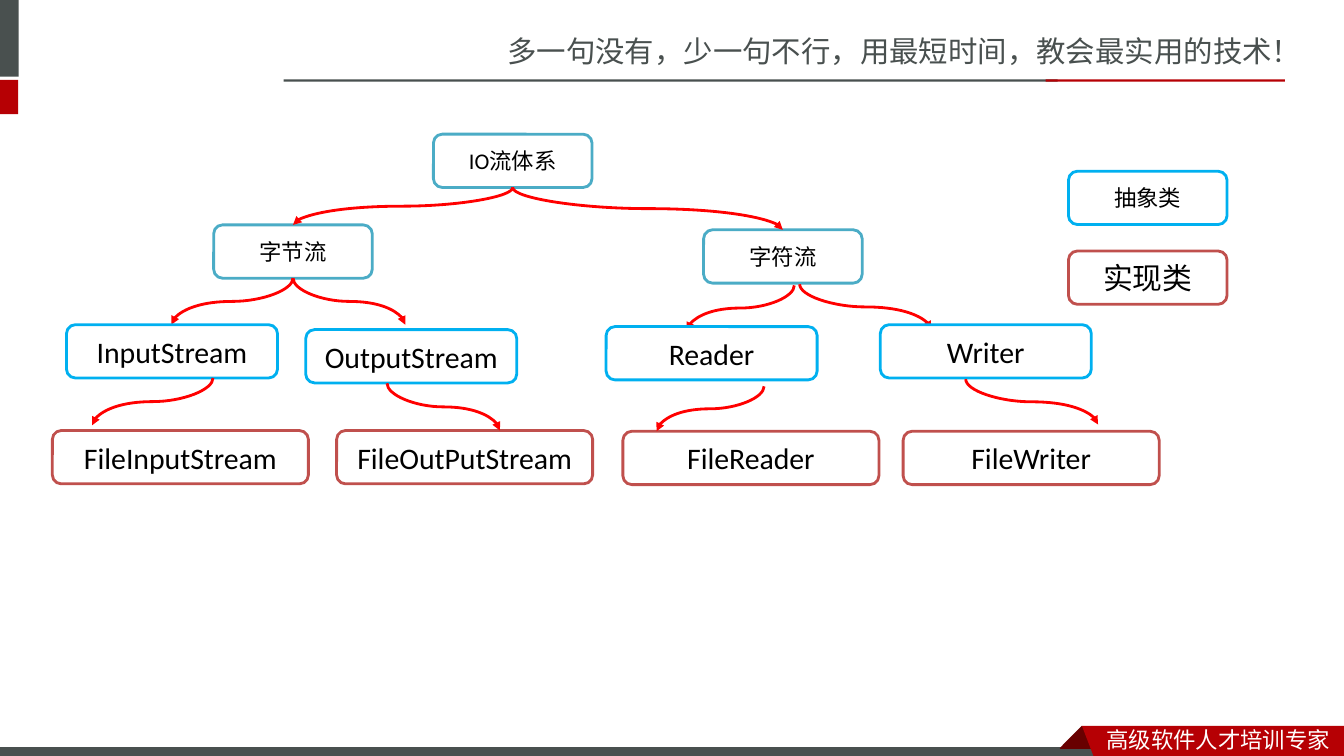
from lxml import etree
from pptx import Presentation
from pptx import util as u
from pptx.dml.color import RGBColor
from pptx.enum import shapes, text
from pptx.oxml import ns

GREY = RGBColor(0x49, 0x50, 0x4F)
CRIMSON = RGBColor(0xB6, 0x00, 0x04)
MAROON = RGBColor(0x68, 0x00, 0x00)
TEAL = RGBColor(0x4B, 0xAC, 0xC6)
SKY = RGBColor(0x00, 0xB0, 0xF0)
BRICK = RGBColor(0xC0, 0x50, 0x4D)
RED = RGBColor(0xFF, 0x00, 0x00)
WHITE = RGBColor(0xFF, 0xFF, 0xFF)
BLACK = RGBColor(0x00, 0x00, 0x00)
HAN_FONT = "Noto Sans CJK SC"

deck = Presentation()
deck.slide_width, deck.slide_height = u.Inches(13.33), u.Inches(7.5)
slide = deck.slides.add_slide(deck.slide_layouts[6])

# Grid of 100 columns by 100 rows
COL, ROW = deck.slide_width / 100, deck.slide_height / 100


def place(*lengths):
    """Turn alternating columns and rows into slide lengths."""
    return [round(n * (ROW if i % 2 else COL)) for i, n in enumerate(lengths)]


def write(holder, words, size, color, font="Calibri", align=text.PP_ALIGN.CENTER,
          anchor=text.MSO_ANCHOR.MIDDLE):
    frame = holder.text_frame
    frame.word_wrap = True
    frame.vertical_anchor = anchor
    frame.paragraphs[0].alignment = align
    run = frame.paragraphs[0].add_run()
    run.text = words
    run.font.size, run.font.name = u.Pt(size), font
    run.font.color.rgb = color
    east_asian = etree.SubElement(run.font._element, ns.qn("a:ea"))
    east_asian.set("typeface", HAN_FONT)


# Side marks, heading rules and footer bar
bars = [
    (-0.45, 0, 1.85, 10.15, GREY),
    (-0.45, 10.55, 1.8, 4.55, CRIMSON),
    (21.1, 10.5, 57.6, 0.3, GREY),
    (77.8, 10.5, 17.8, 0.3, CRIMSON),
    (-0.1, 98.8, 82.5, 1.6, GREY),
]
for *area, color in bars:
    bar = slide.shapes.add_shape(shapes.MSO_SHAPE.RECTANGLE, *place(*area))
    bar.shadow.inherit = False
    bar.fill.solid()
    bar.fill.fore_color.rgb = color
    bar.line.fill.background()
bar.line.color.rgb, bar.line.width = WHITE, u.Pt(0.75)

# Footer ribbon and its fold
ribbon_parts = [
    (MAROON, [(80.5, 96), (82.15, 98.95), (82.05, 99.05), (78.9, 99.05), (78.85, 98.95)]),
    (CRIMSON, [(80.5, 96), (100, 96), (100, 100.5), (81.45, 100.4)]),
]
for color, corners in ribbon_parts:
    points = [place(*corner) for corner in corners]
    outline = slide.shapes.build_freeform(*points[0])
    outline.add_line_segments(points[1:], close=True)
    ribbon = outline.convert_to_shape()
    ribbon.shadow.inherit = False
    ribbon.fill.solid()
    ribbon.fill.fore_color.rgb = color
    ribbon.line.fill.background()

# Heading and footer slogans
slogans = [
    ("多一句没有，少一句不行，用最短时间，教会最实用的技术！", 21, GREY, (37, 3.75, 63.1, 6.25)),
    ("高级软件人才培训专家", 16, WHITE, (81.6, 95.35, 18.4, 4.95)),
]
for words, size, color, area in slogans:
    slogan = slide.shapes.add_textbox(*place(*area))
    write(slogan, words, size, color, font=HAN_FONT, align=text.PP_ALIGN.LEFT,
          anchor=text.MSO_ANCHOR.TOP)

# Class tree: each stage holds boxes and the arrows drawn over them
BOX_HEIGHT = 7.05
GROUP, STREAM, FILE = 11.8, 15.7, 19.05  # box widths in columns
stages = [
    ([("IO流体系", 32.25, 17.75, GROUP, TEAL, 16),
      ("字节流", 15.9, 29.75, GROUP, TEAL, 16),
      ("字符流", 52.35, 30.4, GROUP, TEAL, 16),
      ("抽象类", 79.5, 22.65, GROUP, SKY, 16),
      ("实现类", 79.5, 33.2, GROUP, BRICK, 21.3)],
     [(38.15, 24.8, 21.8, 29.75), (38.15, 24.8, 58.25, 30.4),
      (21.8, 36.8, 12.75, 42.95), (21.8, 36.8, 30.15, 42.95),
      (59.1, 37.75, 51.1, 43.75), (59.5, 37.6, 69.3, 43.6)]),
    ([("InputStream", 4.95, 42.95, STREAM, SKY, 21.3),
      ("OutputStream", 22.75, 43.6, STREAM, SKY, 21.3),
      ("Reader", 45.1, 43.2, STREAM, SKY, 21.3),
      ("Writer", 65.5, 42.95, STREAM, SKY, 21.3),
      ("FileInputStream", 3.9, 56.95, FILE, BRICK, 21.3),
      ("FileOutPutStream", 25.05, 56.95, FILE, BRICK, 21.3),
      ("FileReader", 46.35, 57.05, FILE, BRICK, 21.3),
      ("FileWriter", 67.2, 57.05, FILE, BRICK, 21.3)],
     [(15.85, 50, 6.85, 56.25), (28.8, 50.7, 37.2, 56.95),
      (56.85, 51.1, 48.85, 57.05), (71.85, 50.15, 81.7, 56.15)]),
]
for boxes, arrows in stages:
    for label, left, top, width, border, size in boxes:
        box = slide.shapes.add_shape(shapes.MSO_SHAPE.ROUNDED_RECTANGLE,
                                     *place(left, top, width, BOX_HEIGHT))
        box.shadow.inherit = False
        box.fill.solid()
        box.fill.fore_color.rgb = WHITE
        box.line.color.rgb, box.line.width = border, u.Pt(2)
        write(box, label, size, BLACK)

    for ends in arrows:
        x1, y1, x2, y2 = place(*ends)
        # A quarter turn makes the curve leave and arrive vertically
        middle_x, middle_y = (x1 + x2) // 2, (y1 + y2) // 2
        half_span, half_drop = abs(x2 - x1) // 2, (y2 - y1) // 2
        leftward = x2 < x1
        shift = half_drop if leftward else -half_drop
        arrow = slide.shapes.add_connector(
            shapes.MSO_CONNECTOR.CURVE, middle_x - shift, middle_y - half_span,
            middle_x + shift, middle_y + half_span)
        arrow.line.color.rgb, arrow.line.width = RED, u.Pt(2)
        properties = arrow._element.spPr
        properties.xfrm.set("rot", str((90 if leftward else 270) * 60000))
        etree.SubElement(properties.find(ns.qn("a:ln")), ns.qn("a:tailEnd")).set("type", "triangle")
        etree.SubElement(properties, ns.qn("a:effectLst"))

deck.save("out.pptx")
